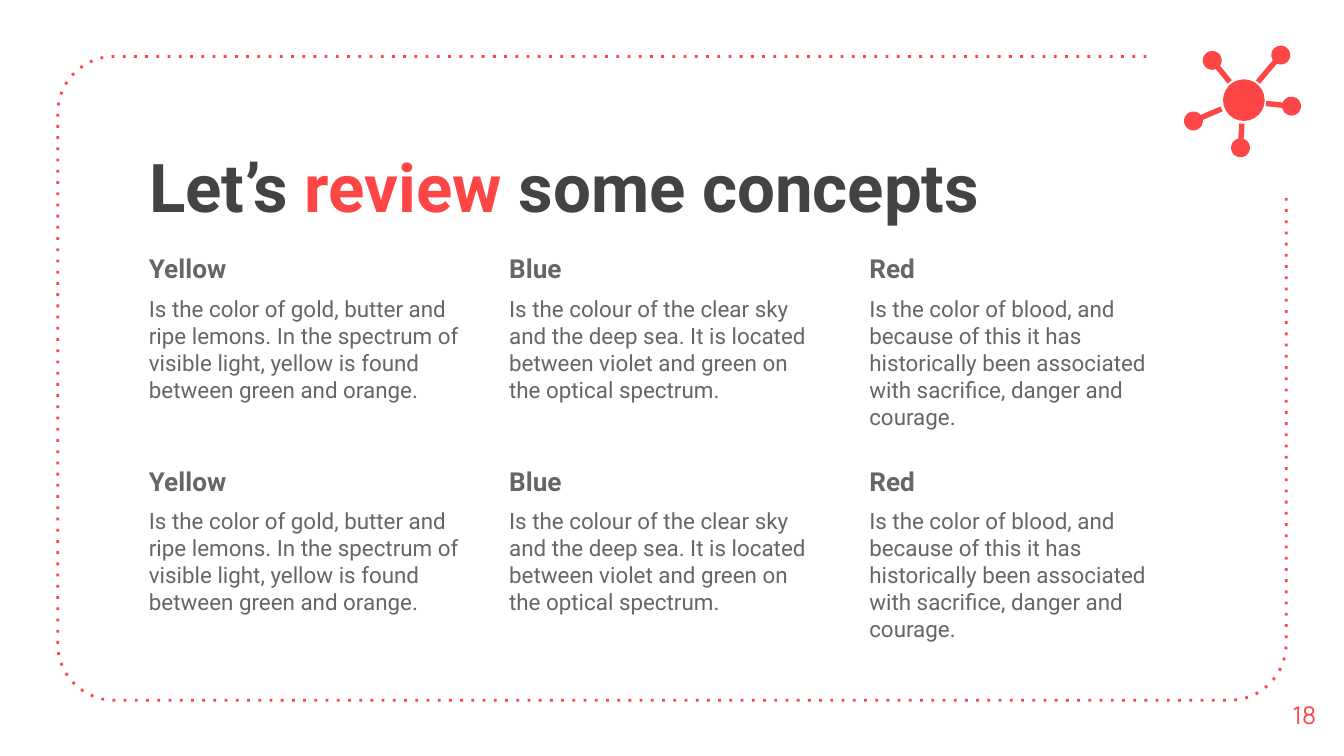
from math import atan2, asin, cos, hypot, pi, sin

from pptx import Presentation
from pptx.dml.color import RGBColor
from pptx.enum.dml import MSO_LINE
from pptx.enum.shapes import MSO_SHAPE
from pptx.enum.text import MSO_ANCHOR, MSO_AUTO_SIZE, PP_ALIGN
from pptx.oxml.ns import qn
from pptx.util import Inches, Pt

DOTTED = MSO_LINE.ROUND_DOT
OVAL = MSO_SHAPE.OVAL
TOP, MIDDLE = MSO_ANCHOR.TOP, MSO_ANCHOR.MIDDLE
LEFT, CENTER = PP_ALIGN.LEFT, PP_ALIGN.CENTER
NO_AUTOFIT = MSO_AUTO_SIZE.NONE

RED, DARK, GRAY = "FE4646", "434343", "666666"

TITLE_FORMAT = {"name": "Roboto", "size": Pt(36), "bold": True}
HEADING_FORMAT = {"name": "Roboto", "size": Pt(14), "bold": True}
BODY_FORMAT = {"name": "Roboto", "size": Pt(12), "bold": False}
NUMBER_FORMAT = {"name": "Manrope", "size": Pt(13), "bold": False}

CONCEPTS = [
    ("Yellow", "Is the color of gold, butter and ripe lemons. In the spectrum of "
               "visible light, yellow is found between green and orange."),
    ("Blue", "Is the colour of the clear sky and the deep sea. It is located "
             "between violet and green on the optical spectrum."),
    ("Red", "Is the color of blood, and because of this it has historically been "
            "associated with sacrifice, danger and courage."),
]

ARMS = [
    ((9.53, 0.41), (9.36, 0.61)),
    ((9.02, 0.45), (9.15, 0.61)),
    ((8.88, 0.9), (9.09, 0.81)),
    ((9.23, 1.1), (9.24, 0.92)),
    ((9.61, 0.79), (9.42, 0.77)),
]


def color(value):
    return RGBColor.from_string(value)


def arc(center, radius, start, sweep, steps=16):
    angles = [start + sweep * step / steps for step in range(steps + 1)]
    return [(center[0] + radius * cos(angle), center[1] + radius * sin(angle))
            for angle in angles]


def add_outline(slide, points, closed):
    corners = [(Inches(x), Inches(y)) for x, y in points]
    builder = slide.shapes.build_freeform(*corners[0])
    builder.add_line_segments(corners[1:], close=closed)
    shape = builder.convert_to_shape()
    shape.shadow.inherit = False
    return shape


def paint_red(shape):
    shape.shadow.inherit = False
    shape.fill.solid()
    shape.fill.fore_color.rgb = color(RED)
    shape.line.fill.background()


def add_frame(slide):
    left, top, right, bottom, radius = 0.43, 0.42, 9.57, 5.21, 0.42
    points = [(8.53, top)]
    points += arc((left + radius, top + radius), radius, -pi / 2, -pi / 2)
    points += arc((left + radius, bottom - radius), radius, pi, -pi / 2)
    points += arc((right - radius, bottom - radius), radius, pi / 2, -pi / 2)
    points.append((right, 1.46))
    frame = add_outline(slide, points, closed=False)
    frame.fill.background()
    frame.line.color.rgb = color(RED)
    frame.line.width = Pt(1.5)
    frame.line.dash_style = DOTTED
    for dash in frame.element.iter(qn("a:prstDash")):
        dash.set("val", "dot")


def add_arm(slide, node, tip, radius=0.07, half_width=0.02):
    run, rise = tip[0] - node[0], tip[1] - node[1]
    length, direction = hypot(run, rise), atan2(rise, run)
    opening = asin(half_width / radius)
    across = (-rise / length * half_width, run / length * half_width)
    points = arc(node, radius, direction + opening, 2 * (pi - opening), steps=40)
    points += [(tip[0] - across[0], tip[1] - across[1]),
               (tip[0] + across[0], tip[1] + across[1])]
    paint_red(add_outline(slide, points, closed=True))


def add_network_icon(slide):
    for node, tip in ARMS:
        add_arm(slide, node, tip)
    hub = slide.shapes.add_shape(
        OVAL, Inches(9.1), Inches(0.59), Inches(0.31), Inches(0.31))
    paint_red(hub)


def set_up_frame(box, anchor):
    settings = {"word_wrap": True, "auto_size": NO_AUTOFIT, "vertical_anchor": anchor}
    for side in ("left", "top", "right", "bottom"):
        settings[f"margin_{side}"] = Inches(0.1)
    for name, value in settings.items():
        setattr(box.text_frame, name, value)


def add_span(para, text, text_format, text_color):
    span = para.add_run()
    span.text = text
    for name, value in text_format.items():
        setattr(span.font, name, value)
    span.font.color.rgb = color(text_color)


def add_box(slide, left, top, width, height, anchor=TOP):
    box = slide.shapes.add_textbox(
        Inches(left), Inches(top), Inches(width), Inches(height))
    set_up_frame(box, anchor)
    return box


def fill_title(slide):
    title = slide.shapes.title
    title.left, title.top = Inches(1.01), Inches(0.98)
    title.width, title.height = Inches(7.51), Inches(0.94)
    set_up_frame(title, TOP)
    para = title.text_frame.paragraphs[0]
    para.alignment = LEFT
    for text, text_color in (("Let’s ", DARK), ("review ", RED), ("some concepts", DARK)):
        add_span(para, text, TITLE_FORMAT, text_color)


def add_concept(slide, left, top, heading, description):
    box = add_box(slide, left, top, 2.54, 1.62)
    heading_para = box.text_frame.paragraphs[0]
    body_para = box.text_frame.add_paragraph()
    add_span(heading_para, heading, HEADING_FORMAT, GRAY)
    add_span(body_para, description, BODY_FORMAT, GRAY)
    for para in (heading_para, body_para):
        para.space_before = Pt(6)


def add_page_number(slide, number):
    box = add_box(slide, 9.41, 5.02, 0.59, 0.6, MIDDLE)
    para = box.text_frame.paragraphs[0]
    para.alignment = CENTER
    add_span(para, number, NUMBER_FORMAT, RED)


def main():
    deck = Presentation()
    deck.slide_width = Inches(10)
    deck.slide_height = deck.slide_width * 9 // 16
    page = deck.slides.add_slide(deck.slide_layouts[5])
    add_frame(page)
    fill_title(page)
    for top in (1.78, 3.36):
        for column, (heading, description) in enumerate(CONCEPTS):
            add_concept(page, 1.01 + 2.68 * column, top, heading, description)
    add_page_number(page, "18")
    add_network_icon(page)
    deck.save("out.pptx")


if __name__ == "__main__":
    main()
